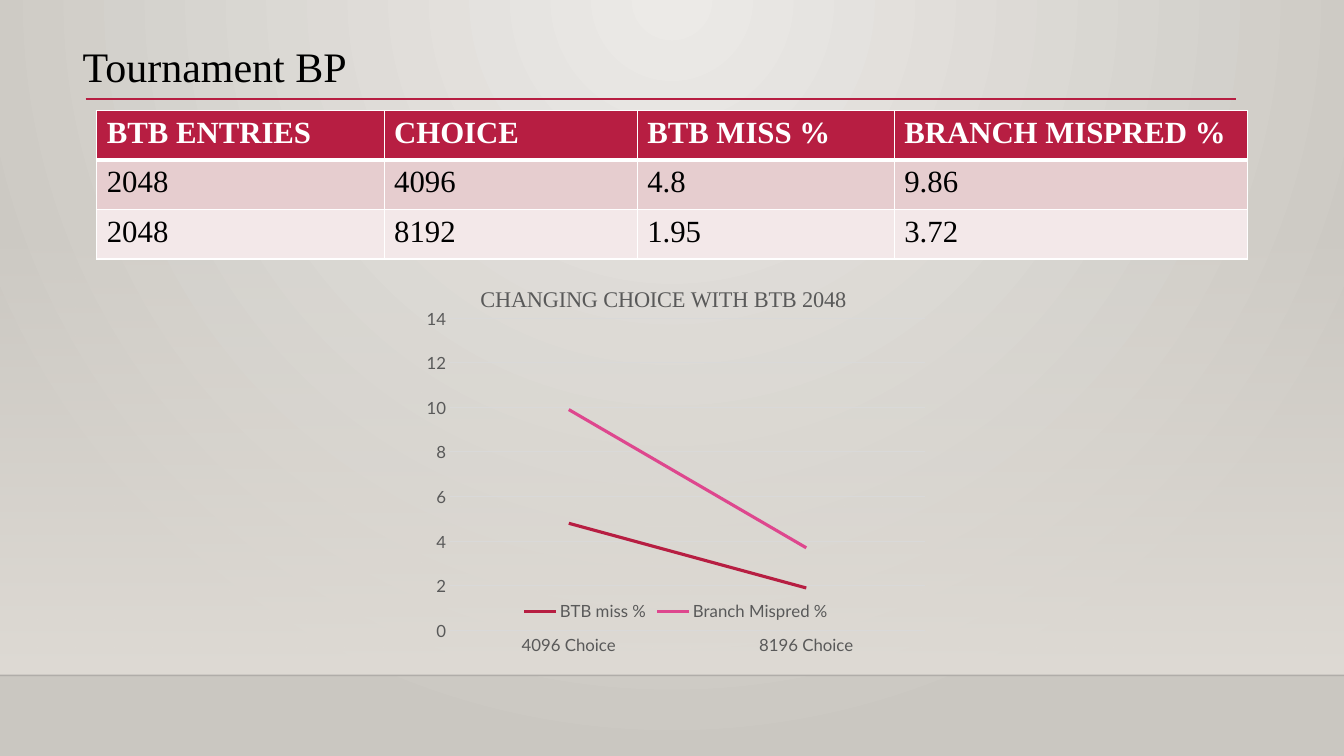
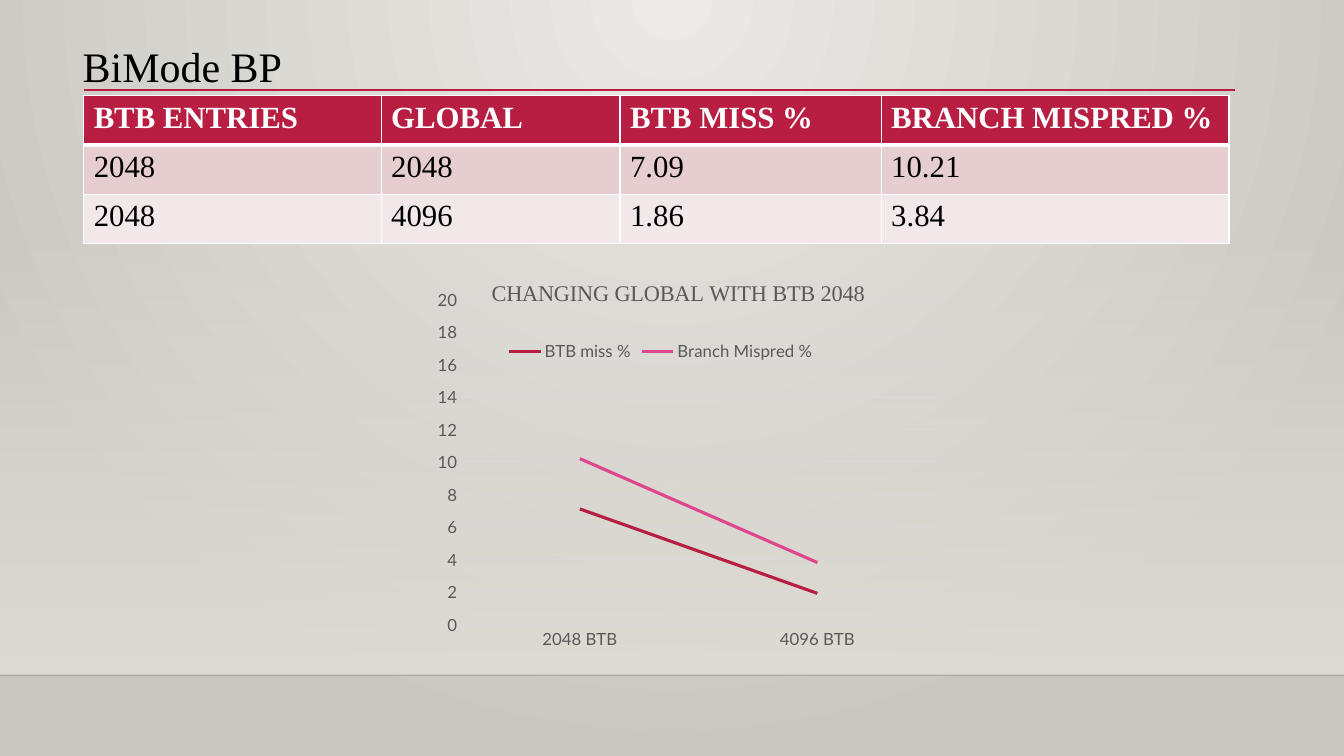
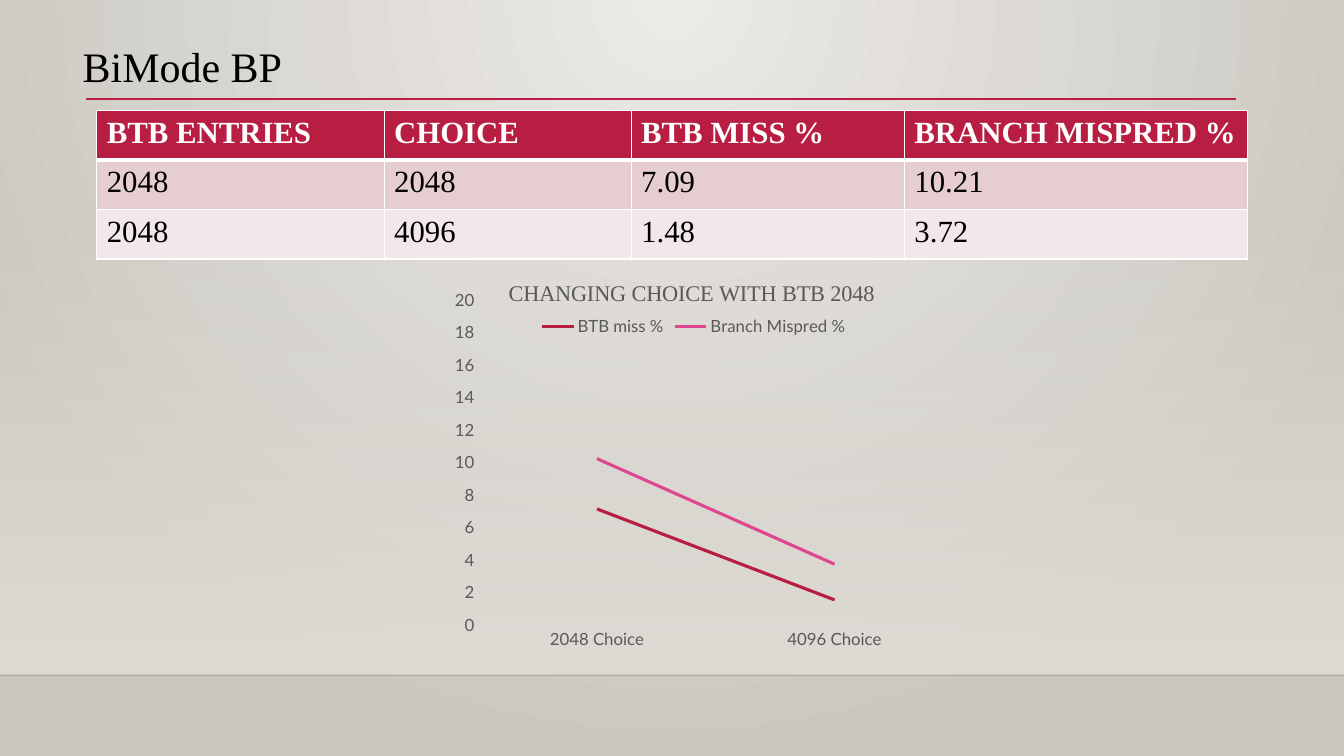
from dataclasses import dataclass
from typing import Any

from lxml.etree import SubElement
from pptx import Presentation
from pptx.chart.data import CategoryChartData
from pptx.dml.color import RGBColor
from pptx.enum.chart import XL_CHART_TYPE, XL_LEGEND_POSITION, XL_TICK_MARK
from pptx.enum.shapes import MSO_CONNECTOR, MSO_SHAPE
from pptx.enum.text import MSO_ANCHOR, MSO_AUTO_SIZE, PP_ALIGN
from pptx.oxml import parse_xml
from pptx.oxml.ns import nsdecls, qn
from pptx.util import Inches, Pt

LINE_CHART = XL_CHART_TYPE.LINE
LEGEND_BOTTOM = XL_LEGEND_POSITION.BOTTOM
NO_TICK = XL_TICK_MARK.NONE
STRAIGHT = MSO_CONNECTOR.STRAIGHT
RECTANGLE = MSO_SHAPE.RECTANGLE
BOTTOM = MSO_ANCHOR.BOTTOM
NO_AUTOSIZE = MSO_AUTO_SIZE.NONE
LEFT = PP_ALIGN.LEFT

WIDTH, HEIGHT = 13.33, 7.5
FLOOR_TOP = 6.7
SERIF, SANS = "Times New Roman", "Lato"
CRIMSON, PINK = "B71E42", "DE478E"
BLACK, WHITE, GREY, PALE_GREY = "000000", "FFFFFF", "595959", "D9D9D9"
BODY_FILLS = ("E6CDCF", "F3E8E9")
ROW_HEIGHT = 0.49
CHART_SIZE = (5.24, 4.13)
SERIES = (("BTB miss %", CRIMSON), ("Branch Mispred %", PINK))

TITLE_FONT = {"name": SERIF, "size": Pt(30), "bold": False}
HEADER_FONT = {"name": SERIF, "size": Pt(22), "bold": True}
BODY_FONT = {**HEADER_FONT, "bold": False}
CHART_FONT = {"name": SANS, "size": Pt(10)}
LABEL_FONT = {"name": SANS, "size": Pt(12), "bold": False}
CHART_TITLE_FONT = {"name": SERIF, "size": Pt(16), "bold": False}


@dataclass
class ResultTable:
    left: float
    top: float
    widths: tuple[float, ...]
    rows: list[tuple[str, ...]]


@dataclass
class TrendChart:
    left: float
    top: float
    title: str
    categories: tuple[str, str]
    values: tuple[tuple[float, float], tuple[float, float]]
    maximum: int
    plot: tuple[float, float, float, float]
    legend: tuple[float, float]


@dataclass
class ResultSlide:
    title: str
    rule: tuple[float, float, float]
    table: ResultTable
    chart: TrendChart


def header(setting: str) -> tuple[str, ...]:
    return ("BTB ENTRIES", setting, "BTB MISS %", "BRANCH MISPRED %")


RESULTS = [
    ResultSlide(
        "Tournament BP", (0.85, 12.26, 0.98),
        ResultTable(0.96, 1.1, (2.85, 2.51, 2.55, 3.5), [
            header("CHOICE"),
            ("2048", "4096", "4.8", "9.86"),
            ("2048", "8192", "1.95", "3.72"),
        ]),
        TrendChart(3.94, 2.62, "CHANGING CHOICE WITH BTB 2048",
                   ("4096 Choice", "8196 Choice"), ((4.8, 1.9), (9.9, 3.7)),
                   14, (0.1, 0.13, 0.9, 0.75), (0.23, 0.8)),
    ),
    ResultSlide(
        "BiMode BP", (0.83, 12.25, 0.89),
        ResultTable(0.83, 0.95, (2.95, 2.37, 2.59, 3.45), [
            header("GLOBAL"),
            ("2048", "2048", "7.09", "10.21"),
            ("2048", "4096", "1.86", "3.84"),
        ]),
        TrendChart(4.05, 2.56, "CHANGING GLOBAL WITH BTB 2048",
                   ("2048 BTB", "4096 BTB"), ((7.1, 1.9), (10.2, 3.8)),
                   20, (0.1, 0.1, 0.9, 0.78), (0.18, 0.19)),
    ),
    ResultSlide(
        "BiMode BP", (0.85, 12.26, 0.98),
        ResultTable(0.96, 1.1, (2.85, 2.45, 2.71, 3.4), [
            header("CHOICE"),
            ("2048", "2048", "7.09", "10.21"),
            ("2048", "4096", "1.48", "3.72"),
        ]),
        TrendChart(4.22, 2.56, "CHANGING CHOICE WITH BTB 2048",
                   ("2048 Choice", "4096 Choice"), ((7.1, 1.5), (10.2, 3.7)),
                   20, (0.1, 0.1, 0.9, 0.78), (0.21, 0.13)),
    ),
]


def colour(code: str) -> RGBColor:
    return RGBColor.from_string(code)


def set_attributes(target: Any, values: dict[str, Any]) -> None:
    for name, value in values.items():
        setattr(target, name, value)


def set_font(font: Any, values: dict[str, Any], code: str) -> None:
    set_attributes(font, values)
    font.color.rgb = colour(code)


def set_line(line: Any, code: str, points: float) -> None:
    line.color.rgb = colour(code)
    line.width = Pt(points)


def set_gradient(fill: Any, codes: tuple[str, str]) -> None:
    fill.gradient()
    for stop, code in zip(fill.gradient_stops, codes):
        stop.color.rgb = colour(code)


def set_opacity(element: Any, percent: int) -> None:
    tint = element.xpath(".//a:srgbClr")[0]
    SubElement(tint, qn("a:alpha"), val=str(percent * 1000))


def add_rule(slide: Any, start: float, end: float, top: float,
             code: str, points: float) -> Any:
    rule = slide.shapes.add_connector(
        STRAIGHT, Inches(start), Inches(top), Inches(end), Inches(top))
    set_line(rule.line, code, points)
    SubElement(rule.element.spPr, qn("a:effectLst"))
    return rule


def paint_layout(layout: Any, slide: Any) -> None:
    set_gradient(layout.background.fill, ("ECEAE7", "CAC7C1"))
    gradient = layout.element.xpath(".//p:bg//a:gradFill")[0]
    for linear in gradient.xpath("a:lin"):
        gradient.remove(linear)
    glow = SubElement(gradient, qn("a:path"), path="circle")
    SubElement(glow, qn("a:fillToRect"), l="43000", t="0", r="43000", b="100000")

    band = slide.shapes.add_shape(
        RECTANGLE, 0, Inches(2.21), Inches(WIDTH), Inches(FLOOR_TOP - 2.21))
    band.shadow.inherit = False
    set_gradient(band.fill, ("DFDBD5", "DFDBD5"))
    band.fill.gradient_angle = 270
    set_opacity(band.element.spPr, 0)
    band.line.fill.background()

    edge = add_rule(slide, 0, WIDTH, FLOOR_TOP, "000001", 1)
    set_opacity(edge.element.spPr, 20)
    for position, shape in enumerate((band, edge), start=2):
        layout.shapes.element.insert(position, shape.element)


def add_title(slide: Any, text: str) -> None:
    title = slide.shapes.title
    set_attributes(title, {"left": Inches(0.72), "top": Inches(0.34),
                           "width": Inches(6.68), "height": Inches(0.61)})
    frame = title.text_frame
    frame.text = text
    set_attributes(frame, {"word_wrap": True, "auto_size": NO_AUTOSIZE,
                           "vertical_anchor": BOTTOM})
    para = frame.paragraphs[0]
    para.alignment = LEFT
    set_font(para.runs[0].font, TITLE_FONT, BLACK)


def set_borders(cell: Any, widths: dict[str, float]) -> None:
    properties = cell._tc.get_or_add_tcPr()
    for position, (side, points) in enumerate(widths.items()):
        properties.insert(position, parse_xml(
            f'<a:ln{side} {nsdecls("a")} w="{Pt(points)}"><a:solidFill>'
            f'<a:srgbClr val="{WHITE}"/></a:solidFill></a:ln{side}>'))


def add_results(slide: Any, results: ResultTable) -> None:
    count = len(results.rows)
    table = slide.shapes.add_table(
        count, len(results.widths), Inches(results.left), Inches(results.top),
        Inches(sum(results.widths)), Inches(count * ROW_HEIGHT)).table
    for column, width in zip(table.columns, results.widths):
        column.width = Inches(width)
    for index, texts in enumerate(results.rows):
        table.rows[index].height = Inches(ROW_HEIGHT)
        is_header = index == 0
        for column, text in enumerate(texts):
            cell = table.cell(index, column)
            cell.text = text
            cell.fill.solid()
            cell.fill.fore_color.rgb = colour(
                CRIMSON if is_header else BODY_FILLS[index - 1])
            set_font(cell.text_frame.paragraphs[0].runs[0].font,
                     HEADER_FONT if is_header else BODY_FONT,
                     WHITE if is_header else BLACK)
            set_borders(cell, {"L": 1, "R": 1, "T": 3 if index == 1 else 1,
                               "B": 3 if is_header else 1})


def place_part(part: Any, values: dict[str, float], inner: bool = False) -> None:
    for empty in part.xpath("c:layout"):
        part.remove(empty)
    target = '<c:layoutTarget val="inner"/>' if inner else ""
    modes = "".join(f'<c:{name}Mode val="edge"/>' for name in "xy")
    sizes = "".join(f'<c:{name} val="{value}"/>' for name, value in values.items())
    layout = parse_xml(
        f'<c:layout {nsdecls("c")}><c:manualLayout>{target}{modes}{sizes}'
        '</c:manualLayout></c:layout>')
    overlays = part.xpath("c:overlay")
    if overlays:
        overlays[0].addprevious(layout)
    else:
        part.insert(0, layout)


def clear_backdrop() -> Any:
    return parse_xml(f'<c:spPr {nsdecls("c", "a")}><a:noFill/>'
                     '<a:ln><a:noFill/></a:ln></c:spPr>')


def add_trend(slide: Any, trend: TrendChart) -> None:
    data = CategoryChartData()
    data.categories = trend.categories
    for (name, _), values in zip(SERIES, trend.values):
        data.add_series(name, values)
    chart = slide.shapes.add_chart(
        LINE_CHART, Inches(trend.left), Inches(trend.top),
        *map(Inches, CHART_SIZE), data).chart
    set_font(chart.font, CHART_FONT, BLACK)

    chart.has_title = True
    frame = chart.chart_title.text_frame
    frame.text = trend.title
    set_font(frame.paragraphs[0].runs[0].font, CHART_TITLE_FONT, GREY)

    chart.has_legend = True
    set_attributes(chart.legend, {"position": LEGEND_BOTTOM,
                                  "include_in_layout": False})
    set_font(chart.legend.font, LABEL_FONT, GREY)

    for axis in (chart.category_axis, chart.value_axis):
        set_attributes(axis, {"major_tick_mark": NO_TICK,
                              "minor_tick_mark": NO_TICK})
        set_font(axis.tick_labels.font, LABEL_FONT, GREY)
    set_line(chart.category_axis.format.line, PALE_GREY, 0.75)
    scale = chart.value_axis
    set_attributes(scale, {"minimum_scale": 0, "maximum_scale": trend.maximum,
                           "major_unit": 2, "has_major_gridlines": True})
    scale.format.line.fill.background()
    set_line(scale.major_gridlines.format.line, PALE_GREY, 0.75)

    plot = chart.plots[0]
    plot.vary_by_categories = False
    for series, (_, code) in zip(plot.series, SERIES):
        series.smooth = False
        set_line(series.format.line, code, 2.25)

    body = chart.element.xpath("c:chart")[0]
    area = body.xpath("c:plotArea")[0]
    place_part(area, dict(zip("xywh", trend.plot)), inner=True)
    place_part(body.xpath("c:title")[0], {"x": 0.15, "y": 0.04})
    place_part(body.xpath("c:legend")[0], dict(zip("xy", trend.legend)))
    area.append(clear_backdrop())
    body.addnext(clear_backdrop())


def main() -> None:
    deck = Presentation()
    set_attributes(deck, {"slide_width": Inches(WIDTH),
                          "slide_height": Inches(HEIGHT)})
    layout = deck.slide_layouts[5]
    for index, result in enumerate(RESULTS):
        slide = deck.slides.add_slide(layout)
        if index == 0:
            paint_layout(layout, slide)
        add_title(slide, result.title)
        add_results(slide, result.table)
        add_trend(slide, result.chart)
        add_rule(slide, *result.rule, CRIMSON, 1.25)
    deck.save("out.pptx")


main()
